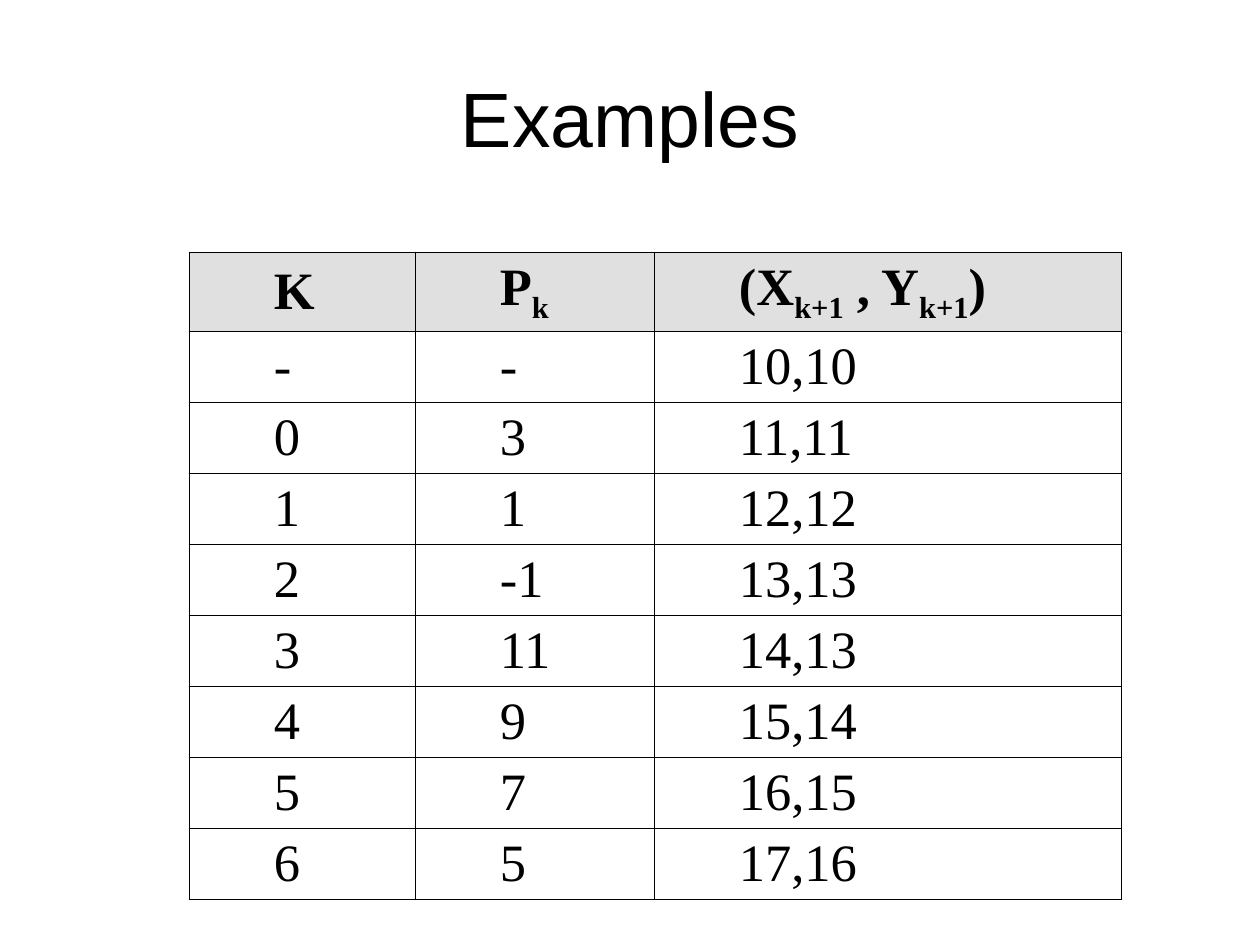
from lxml import etree
from pptx import Presentation
from pptx.dml.color import RGBColor
from pptx.enum.text import MSO_ANCHOR, PP_ALIGN
from pptx.oxml.ns import qn
from pptx.util import Pt

PX = 914400 // 126
BLACK = RGBColor(0x00, 0x00, 0x00)
HEADER_GREY = RGBColor(0xE0, 0xE0, 0xE0)
MIDDLE = MSO_ANCHOR.MIDDLE
CENTER, JUSTIFY = PP_ALIGN.CENTER, PP_ALIGN.JUSTIFY

COL_WIDTHS = [226, 239, 467]
HEADER_HEIGHT, ROW_HEIGHT = 72, 63
INSET_X, INSET_Y, INDENT = 22, 4, 63

# Each cell is a list of pieces; every second piece is a subscript.
HEADER = [["K"], ["P", "k"], ["(X", "k+1", " , Y", "k+1", ")"]]
STEPS = [
    ("-", "-", "10,10"),
    ("0", "3", "11,11"),
    ("1", "1", "12,12"),
    ("2", "-1", "13,13"),
    ("3", "11", "14,13"),
    ("4", "9", "15,14"),
    ("5", "7", "16,15"),
    ("6", "5", "17,16"),
]
ROWS = [HEADER] + [[[value] for value in step] for step in STEPS]


def set_font(p, name, size, bold=False):
    p.font.name = name
    p.font.size = Pt(size)
    p.font.bold = bold
    p.font.color.rgb = BLACK


def add_borders(cell):
    tc_pr = cell._tc.get_or_add_tcPr()
    for side in ("a:lnL", "a:lnR", "a:lnT", "a:lnB"):
        ln = etree.SubElement(tc_pr, qn(side), w=str(Pt(0.45)))
        fill = etree.SubElement(ln, qn("a:solidFill"))
        etree.SubElement(fill, qn("a:srgbClr"), val=str(BLACK))


prs = Presentation()
prs.slide_width = 1260 * PX
prs.slide_height = 945 * PX
slide = prs.slides.add_slide(prs.slide_layouts[6])

title = slide.shapes.add_textbox(63 * PX, 38 * PX, 1134 * PX, 158 * PX)
tf = title.text_frame
tf.word_wrap = True
tf.vertical_anchor = MIDDLE
p = tf.paragraphs[0]
p.text = "Examples"
p.alignment = CENTER
set_font(p, "Arial", 44)

table_height = HEADER_HEIGHT + ROW_HEIGHT * len(STEPS)
table = slide.shapes.add_table(
    len(ROWS), len(COL_WIDTHS),
    189 * PX, 252 * PX, sum(COL_WIDTHS) * PX, table_height * PX).table
table.first_row = False
table.horz_banding = False
for column, width in zip(table.columns, COL_WIDTHS):
    column.width = width * PX

for i, row in enumerate(ROWS):
    is_header = i == 0
    table.rows[i].height = (HEADER_HEIGHT if is_header else ROW_HEIGHT) * PX
    for j, pieces in enumerate(row):
        cell = table.cell(i, j)
        cell.vertical_anchor = MIDDLE
        cell.margin_left = cell.margin_right = INSET_X * PX
        cell.margin_top = cell.margin_bottom = INSET_Y * PX
        add_borders(cell)
        if is_header:
            cell.fill.solid()
            cell.fill.fore_color.rgb = HEADER_GREY
        else:
            cell.fill.background()

        p = cell.text_frame.paragraphs[0]
        p.alignment = JUSTIFY
        set_font(p, "Times New Roman", 30, is_header)
        p_pr = p._p.get_or_add_pPr()
        p_pr.set("marL", str(INDENT * PX))
        p_pr.set("indent", "0")
        for k, piece in enumerate(pieces):
            r = p.add_run()
            r.text = piece
            if k % 2:
                r._r.get_or_add_rPr().set("baseline", "-25000")

prs.save("out.pptx")
